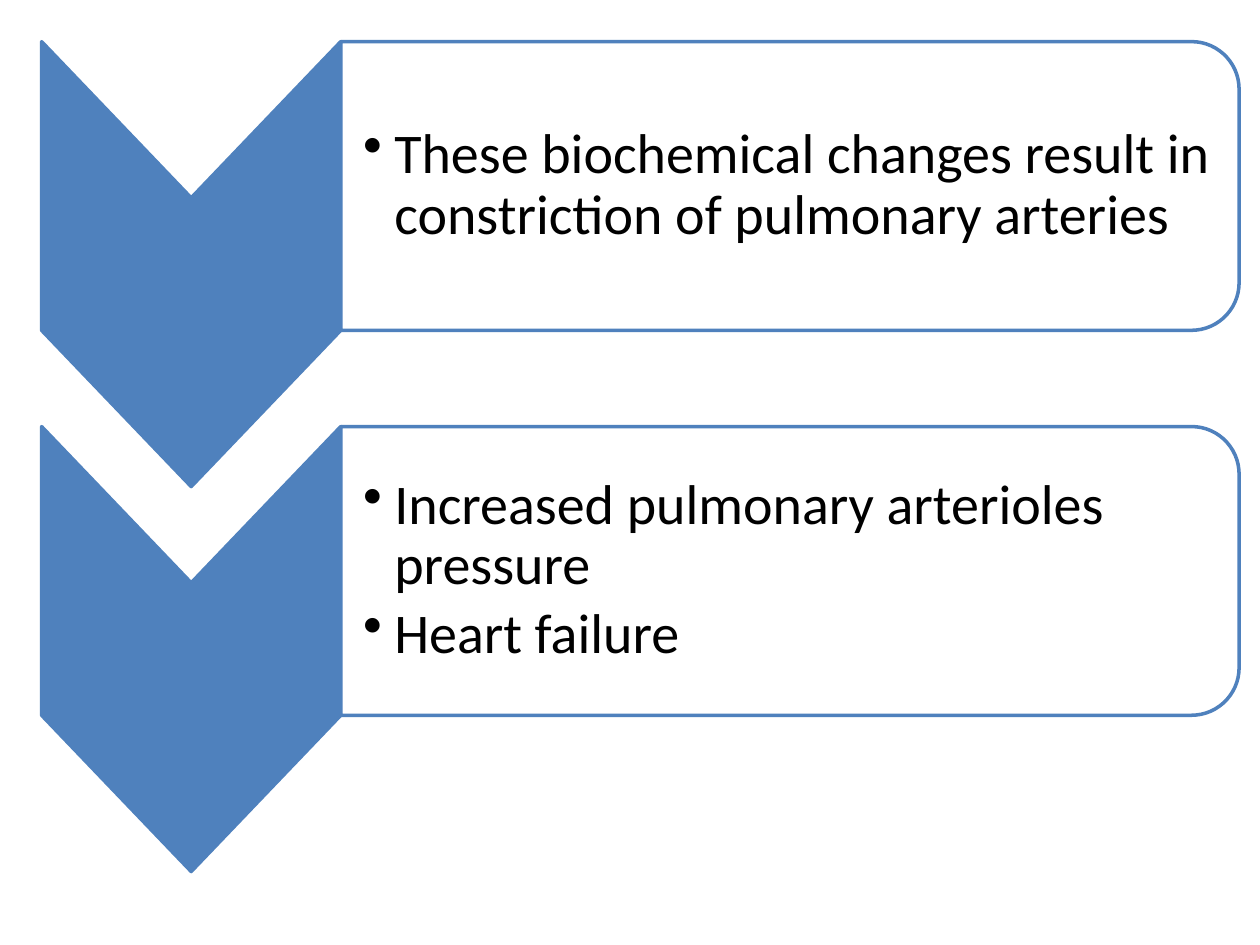
import math

import pptx
import pptx.dml.color
import pptx.enum.text
import pptx.oxml
import pptx.oxml.ns
import pptx.util
from pptx.util import Cm

BLUE, WHITE, BLACK = "4F81BD", "FFFFFF", "000000"

LEFT, TOP, PITCH = 0.84, 0.84, 7.76
CHEVRON_W, BODY_H, POINT_H = 6.03, 5.82, 3.15
PANEL_W, RADIUS = 18.11, 0.96

STEPS = [
    ["These biochemical changes result in constriction of pulmonary arteries"],
    ["Increased pulmonary arterioles pressure", "Heart failure"],
]


def rgb(value):
    return pptx.dml.color.RGBColor.from_string(value)


def add_outline(slide, points, fill):
    """Closed freeform through points given in centimetres."""
    pts = [(Cm(x), Cm(y)) for x, y in points]
    builder = slide.shapes.build_freeform(*pts[0])
    builder.add_line_segments(pts[1:], close=True)
    s = builder.convert_to_shape()
    s.shadow.inherit = False
    s.fill.solid()
    s.fill.fore_color.rgb = rgb(fill)
    s.line.color.rgb = rgb(BLUE)
    s.line.width = pptx.util.Pt(2)
    return s


def add_chevron(slide, x, y):
    mid, right, bottom = x + CHEVRON_W / 2, x + CHEVRON_W, y + BODY_H
    add_outline(slide, [(x, y), (mid, y + POINT_H), (right, y), (right, bottom),
                        (mid, bottom + POINT_H), (x, bottom)], BLUE)


def corner(cx, cy, start):
    """Points of a quarter circle, clockwise from the start angle."""
    angles = [math.radians(start + step) for step in range(0, 91, 6)]
    return [(cx + RADIUS * math.cos(a), cy + RADIUS * math.sin(a)) for a in angles]


def add_bullet(p, text):
    p.level = 1
    p.alignment = pptx.enum.text.PP_ALIGN.LEFT
    p.line_spacing = 0.9
    p.space_after = pptx.util.Pt(5)
    pPr = p._p.get_or_add_pPr()
    pPr.set("marL", str(Cm(0.63)))
    pPr.set("indent", str(-Cm(0.63)))
    pPr.append(pptx.oxml.parse_xml(
        f'<a:buChar {pptx.oxml.ns.nsdecls("a")} char="•"/>'))
    r = p.add_run()
    r.text = text
    r.font.name = "Calibri"
    r.font.size = pptx.util.Pt(32)
    r.font.color.rgb = rgb(BLACK)


def add_panel(slide, x, y, bullets):
    arc_x, bottom = x + PANEL_W - RADIUS, y + BODY_H
    s = add_outline(slide, [(x, y), *corner(arc_x, y + RADIUS, -90),
                            *corner(arc_x, bottom - RADIUS, 0), (x, bottom)], WHITE)
    tf = s.text_frame
    tf.word_wrap = True
    tf.vertical_anchor = pptx.enum.text.MSO_ANCHOR.MIDDLE
    tf.margin_left = Cm(0.45)
    tf.margin_top = tf.margin_right = tf.margin_bottom = Cm(0.23)
    for i, text in enumerate(bullets):
        add_bullet(tf.add_paragraph() if i else tf.paragraphs[0], text)


def main():
    prs = pptx.Presentation()
    prs.slide_width, prs.slide_height = Cm(25.4), Cm(19.05)
    slide = prs.slides.add_slide(prs.slide_layouts[6])

    # One chevron and one text panel per step
    for i, bullets in enumerate(STEPS):
        y = TOP + i * PITCH
        add_chevron(slide, LEFT, y)
        add_panel(slide, LEFT + CHEVRON_W, y, bullets)

    prs.save("out.pptx")


if __name__ == "__main__":
    main()
